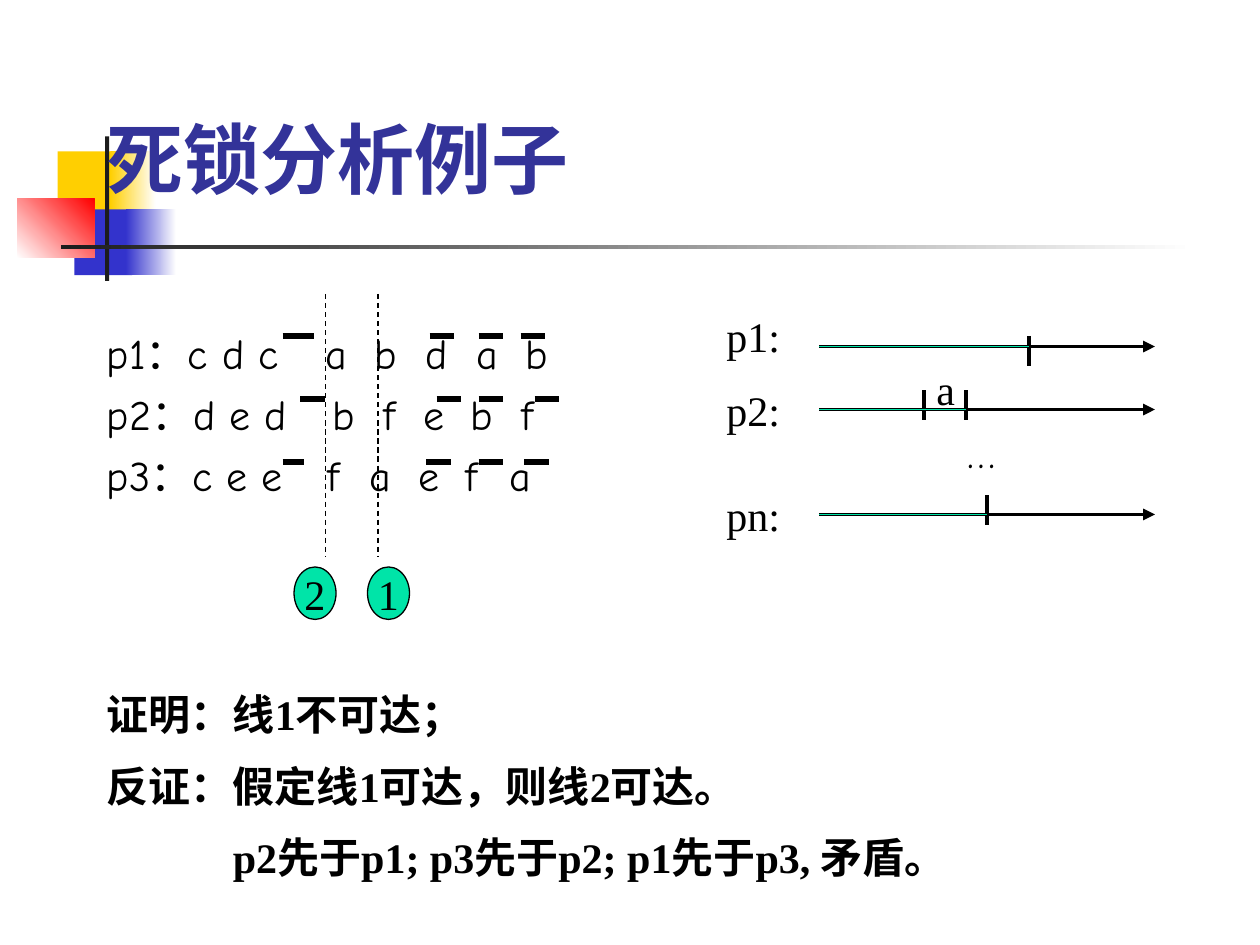
from lxml import etree
from pptx import Presentation
from pptx.dml.color import RGBColor
from pptx.enum.dml import MSO_LINE_DASH_STYLE as Dash
from pptx.enum.shapes import MSO_CONNECTOR as Connector, MSO_SHAPE as Shape
from pptx.enum.text import MSO_ANCHOR as Anchor, PP_ALIGN as Align
from pptx.oxml.ns import qn
from pptx.util import Pt

BLACK, GREEN, YELLOW, BLUE = "000000", "00E4A8", "FFCF01", "3333CC"
WHITE, RED, CHARCOAL, INDIGO = "FFFFFF", "FF0000", "1C1C1C", "333399"
SERIF, HAND, HEADING = "Times New Roman", "Comic Neue", "Lato"


def color(hex_code):
    return RGBColor.from_string(hex_code)


class Board:
    """Holds the text style and the current slide."""

    def __init__(self, slide, font=SERIF, size=24):
        self.slide, self.font, self.size = slide, font, size

    def block(self, left, top, width, height, start, end=None, angle=0):
        """Borderless rectangle, plain or fading from start to end."""
        block = self.slide.shapes.add_shape(
            Shape.RECTANGLE, Pt(left), Pt(top), Pt(width), Pt(height))
        block.shadow.inherit = False
        block.line.fill.background()
        if end is None:
            block.fill.solid()
            block.fill.fore_color.rgb = color(start)
            return
        block.fill.gradient()
        block.fill.gradient_angle = angle
        for stop, shade in zip(block.fill.gradient_stops, (start, end)):
            stop.color.rgb = color(shade)

    def line(self, x1, y1, x2, y2, width, shade=BLACK, dash=None, arrow=False):
        line = self.slide.shapes.add_connector(
            Connector.STRAIGHT, Pt(x1), Pt(y1), Pt(x2), Pt(y2))
        line.line.width = Pt(width)
        line.line.color.rgb = color(shade)
        if dash:
            line.line.dash_style = dash
        if arrow:
            etree.SubElement(line.line._get_or_add_ln(), qn("a:tailEnd"),
                             type="triangle")
        etree.SubElement(line._element.spPr, qn("a:effectLst"))

    def style(self, paragraph, font=None, size=None, shade=BLACK, bold=False):
        paragraph.font.name = font or self.font
        paragraph.font.size = Pt(size or self.size)
        paragraph.font.color.rgb = color(shade)
        paragraph.font.bold = bold

    def text(self, left, top, width, height, lines, anchor=Anchor.TOP,
             spacing=None, indents=None, tabs=None, **style):
        """Text box with one paragraph per line."""
        frame = self.slide.shapes.add_textbox(
            Pt(left), Pt(top), Pt(width), Pt(height)).text_frame
        frame.word_wrap = True
        frame.vertical_anchor = anchor
        for i, content in enumerate(lines):
            paragraph = frame.paragraphs[0] if i == 0 else frame.add_paragraph()
            paragraph.text = content
            if i:
                paragraph.space_before = Pt(12)
            if spacing:
                paragraph.line_spacing = spacing
            props = paragraph._p.get_or_add_pPr()
            if indents:
                props.set("marL", str(Pt(indents[i])))
            if tabs:
                stops = etree.SubElement(props, qn("a:tabLst"))
                for stop in tabs[i]:
                    etree.SubElement(stops, qn("a:tab"), pos=str(Pt(stop)),
                                     algn="l")
            self.style(paragraph, **style)

    def badge(self, left, top, number):
        badge = self.slide.shapes.add_shape(
            Shape.OVAL, Pt(left), Pt(top), Pt(24), Pt(30))
        badge.shadow.inherit = False
        badge.fill.solid()
        badge.fill.fore_color.rgb = color(GREEN)
        badge.line.color.rgb = color(BLACK)
        badge.line.width = Pt(0.75)
        frame = badge.text_frame
        frame.word_wrap = False
        frame.vertical_anchor = Anchor.MIDDLE
        label = frame.paragraphs[0]
        label.text = number
        label.alignment = Align.CENTER
        self.style(label)


def main():
    deck = Presentation()
    deck.slide_width, deck.slide_height = Pt(720), Pt(540)
    board = Board(deck.slides.add_slide(deck.slide_layouts[6]))

    # Corner ornament and title
    board.block(33, 86.5, 34.5, 37.5, YELLOW)
    board.block(63, 86.5, 26, 37.5, YELLOW, WHITE)
    board.block(42.5, 119.7, 33, 37.5, BLUE)
    board.block(72, 119.7, 28.8, 37.5, BLUE, WHITE)
    board.block(9.8, 113.7, 44.2, 33.6, WHITE, RED, angle=45)
    board.block(60, 78, 2.4, 82.6, CHARCOAL)
    board.block(34.8, 140.1, 648, 2.5, CHARCOAL, WHITE)
    board.text(54, 30, 612, 90, ["死锁分析例子"], anchor=Anchor.BOTTOM,
               font=HEADING, size=44, shade=INDIGO, bold=True)

    # Operation sequences of the three processes
    board.text(54, 189, 612, 110,
               ["p1：c d c\ta\tb\td\ta\tb",
                "p2：d e d\tb\tf\te\tb\tf",
                "p3：c e e\tf\ta\te\tf\ta"],
               spacing=0.8, font=HAND,
               tabs=[(125, 153, 182, 211, 239),
                     (129, 158, 181, 208, 237),
                     (126, 150, 178, 205, 230)])

    # Bars over the released resources
    bars = {192: [(161.5, 18), (245.5, 14), (273.5, 14), (297.5, 14)],
            228: [(171.5, 14), (249.5, 14), (273.5, 14), (305.5, 14)],
            264: [(161.5, 12), (243.5, 14), (273.5, 14), (299.5, 14)]}
    for y, row in bars.items():
        for x, length in row:
            board.line(x, y, x + length, y, 3)

    # Cut lines 1 and 2
    for number, cut_x, badge_x in (("1", 216, 210), ("2", 186, 168)):
        board.line(cut_x, 168, cut_x, 318, 0.75, dash=Dash.DASH)
        board.badge(badge_x, 324, number)

    # Proof
    board.text(54, 390, 582, 122,
               ["证明：线1不可达；",
                "反证：假定线1可达，则线2可达。",
                "p2先于p1; p3先于p2; p1先于p3, 矛盾。"],
               indents=(0, 0, 72), bold=True)

    # Process timelines: label, label top, axis, tick top, tick positions
    timelines = [("p1:", 174, 198, 192, [588]),
                 ("p2:", 216, 234, 223, [528, 552]),
                 ("pn:", 276, 294, 283, [564])]
    for process, label_y, axis_y, tick_y, ticks in timelines:
        board.text(408, label_y, 48, 36, [process])
        board.line(468, axis_y, 660, axis_y, 2.25, arrow=True)
        for x in ticks:
            board.line(x, tick_y, x, tick_y + 17, 2.25)
        board.line(468, axis_y, ticks[-1], axis_y, 0.75, GREEN)
    board.text(528, 204, 24, 36, ["a"])
    board.text(546, 240, 54, 36, ["…"], font=HAND)

    deck.save("out.pptx")


if __name__ == "__main__":
    main()
